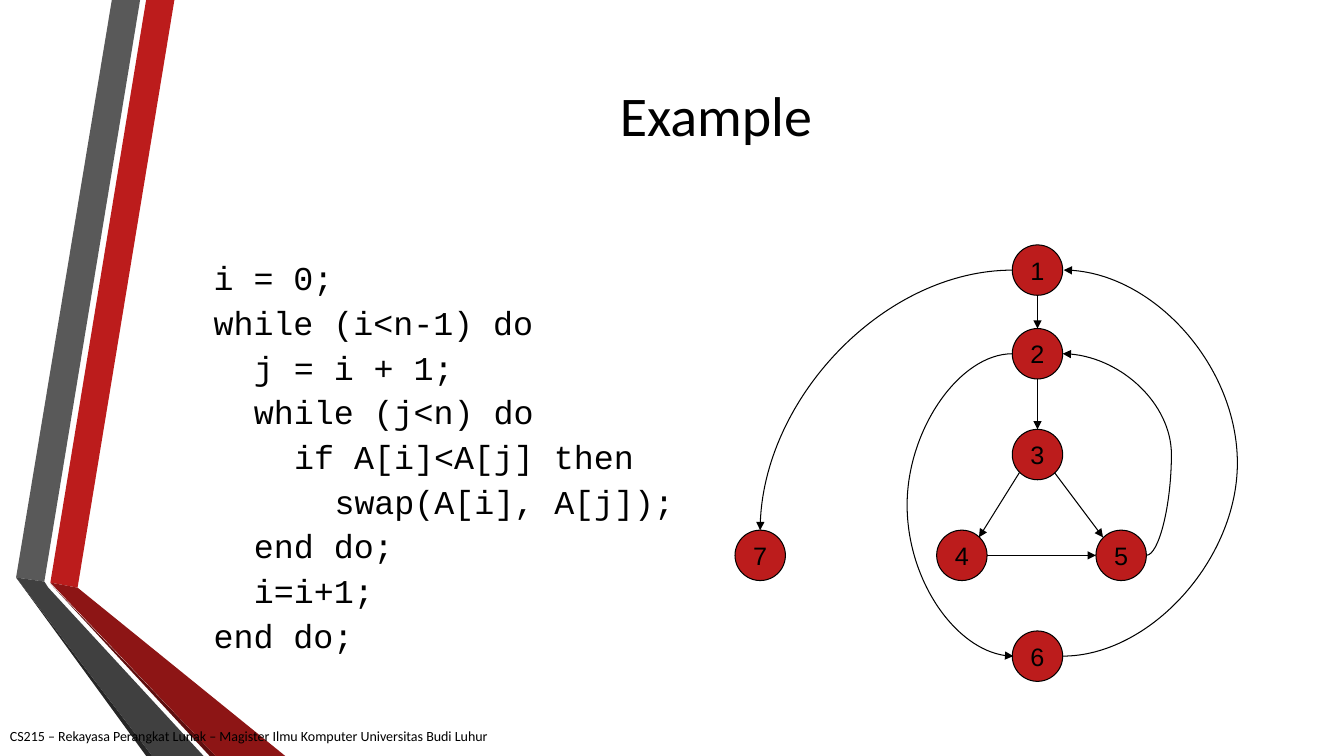
"""Build the slide showing a nested-loop program beside its flow graph."""
from lxml import etree
from pptx import Presentation
from pptx.dml.color import RGBColor
from pptx.enum.shapes import MSO_CONNECTOR, MSO_SHAPE
from pptx.enum.text import MSO_ANCHOR, PP_ALIGN
from pptx.oxml.ns import qn
from pptx.util import Inches, Pt

STRAIGHT, CURVE = MSO_CONNECTOR.STRAIGHT, MSO_CONNECTOR.CURVE
OVAL = MSO_SHAPE.OVAL
TOP, MIDDLE = MSO_ANCHOR.TOP, MSO_ANCHOR.MIDDLE
LEFT, CENTER = PP_ALIGN.LEFT, PP_ALIGN.CENTER
BLACK = RGBColor(0x00, 0x00, 0x00)
RED = RGBColor(0xBC, 0x1C, 0x1C)
DARK_RED = RGBColor(0x8D, 0x15, 0x15)
DEEP_RED = RGBColor(0x5E, 0x0E, 0x0E)
GRAY = RGBColor(0x59, 0x59, 0x59)
DARK_GRAY = RGBColor(0x40, 0x40, 0x40)
DEEP_GRAY = RGBColor(0x26, 0x26, 0x26)


def write_line(paragraph, text, font_name, size, align):
    paragraph.alignment = align
    run = paragraph.add_run()
    run.text = text
    run.font.name = font_name
    run.font.size = Pt(size)
    run.font.color.rgb = BLACK


def add_edge(kind, start, end):
    edge = slide.shapes.add_connector(kind, *map(Inches, start + end))
    edge.line.color.rgb = BLACK
    edge.line.width = Pt(0.75)
    etree.SubElement(edge.line._get_or_add_ln(), qn("a:tailEnd"), type="triangle")
    etree.SubElement(edge._element.spPr, qn("a:effectLst"))
    return edge


prs = Presentation()
prs.slide_width, prs.slide_height = Inches(13.33), Inches(7.5)
slide = prs.slides.add_slide(prs.slide_layouts[6])

ribbons = [
    (RED, [(0.5, 5.78), (0.77, 5.83), (1.73, 0), (1.45, 0)]),
    (GRAY, [(1.39, 0), (1.11, 0), (0.16, 5.73), (0.44, 5.77)]),
    (DEEP_GRAY, [(0.16, 5.73), (1.45, 7.5), (1.51, 7.5)]),
    (DEEP_RED, [(0.5, 5.79), (2.08, 7.5), (2.14, 7.5)]),
    (DARK_RED, [(0.5, 5.78), (2.14, 7.5), (2.83, 7.5), (0.77, 5.83)]),
    (DARK_GRAY, [(2.02, 7.5), (0.48, 5.83), (0.44, 5.77), (0.16, 5.73), (1.51, 7.5)]),
]
for color, corners in ribbons:
    points = [(Inches(x), Inches(y)) for x, y in corners]
    outline = slide.shapes.build_freeform(*points[0])
    outline.add_line_segments(points[1:], close=True)
    ribbon = outline.convert_to_shape()
    ribbon.shadow.inherit = False
    ribbon.fill.solid()
    ribbon.fill.fore_color.rgb = color
    ribbon.line.fill.background()

code = [
    (0, "i = 0;"),
    (0, "while (i<n-1) do"),
    (1, "j = i + 1;"),
    (1, "while (j<n) do"),
    (2, "if A[i]<A[j] then"),
    (3, "swap(A[i], A[j]);"),
    (1, "end do;"),
    (1, "i=i+1;"),
    (0, "end do;"),
]
texts = [
    ((1.62, 0.75, 10.96, 1.92), TOP, CENTER, "Calibri", 40, [(0, "Example")]),
    ((2.02, 2.53, 10.56, 4.09), MIDDLE, LEFT, "Courier New", 23.8, code),
    ((0, 7.1, 7.75, 0.4), MIDDLE, LEFT, "Calibri", 10,
     [(0, "CS215 – Rekayasa Perangkat Lunak – Magister Ilmu Komputer Universitas Budi Luhur")]),
]
for box, anchor, align, font_name, size, lines in texts:
    frame = slide.shapes.add_textbox(*map(Inches, box)).text_frame
    frame.word_wrap = True
    frame.vertical_anchor = anchor
    for number, (depth, text) in enumerate(lines):
        paragraph = frame.add_paragraph() if number else frame.paragraphs[0]
        write_line(paragraph, text, font_name, size, align)
        if lines is code:
            spacing = {"line_spacing": 0.7, "space_before": Pt(5.9), "space_after": Pt(6)}
            for name, value in spacing.items():
                setattr(paragraph, name, value)
            paragraph._p.get_or_add_pPr().set("marL", str(Inches(0.4 * depth)))

NODE = 0.5
centers = {
    "1": (10.29, 2.68), "2": (10.29, 3.51), "3": (10.29, 4.51), "4": (9.54, 5.51),
    "5": (11.12, 5.51), "6": (10.29, 6.51), "7": (7.54, 5.51),
}
for label, (x, y) in centers.items():
    node = slide.shapes.add_shape(
        OVAL, Inches(x - NODE / 2), Inches(y - NODE / 2), Inches(NODE), Inches(NODE))
    node.shadow.inherit = False
    node.fill.solid()
    node.fill.fore_color.rgb = RED
    node.line.color.rgb = BLACK
    node.line.width = Pt(0.75)
    node.text_frame.word_wrap = False
    node.text_frame.vertical_anchor = MIDDLE
    write_line(node.text_frame.paragraphs[0], label, "Arial", 18, CENTER)

straight_edges = [
    ((10.29, 2.93), (10.29, 3.26)),
    ((10.29, 3.76), (10.29, 4.26)),
    ((10.11, 4.69), (9.71, 5.33)),
    ((10.46, 4.69), (10.94, 5.33)),
    ((9.79, 5.51), (10.87, 5.51)),
]
for start, end in straight_edges:
    add_edge(STRAIGHT, start, end)

loop_edges = [
    ((11.37, 5.51), (10.54, 3.51), -0.3),
    ((10.04, 3.51), (10.05, 6.51), -106),
    ((10.54, 6.51), (10.55, 2.68), 176),
]
for start, end, bulge in loop_edges:
    geometry = add_edge(CURVE, start, end)._element.spPr.find(qn("a:prstGeom"))
    guides = geometry.find(qn("a:avLst"))
    etree.SubElement(guides, qn("a:gd"), name="adj1", fmla=f"val {round(bulge * 100000)}")

exit_edge = add_edge(CURVE, (10.04, 2.68), (7.54, 5.26))
exit_edge._element.spPr.find(qn("a:prstGeom")).set("prst", "curvedConnector2")

prs.save("out.pptx")
